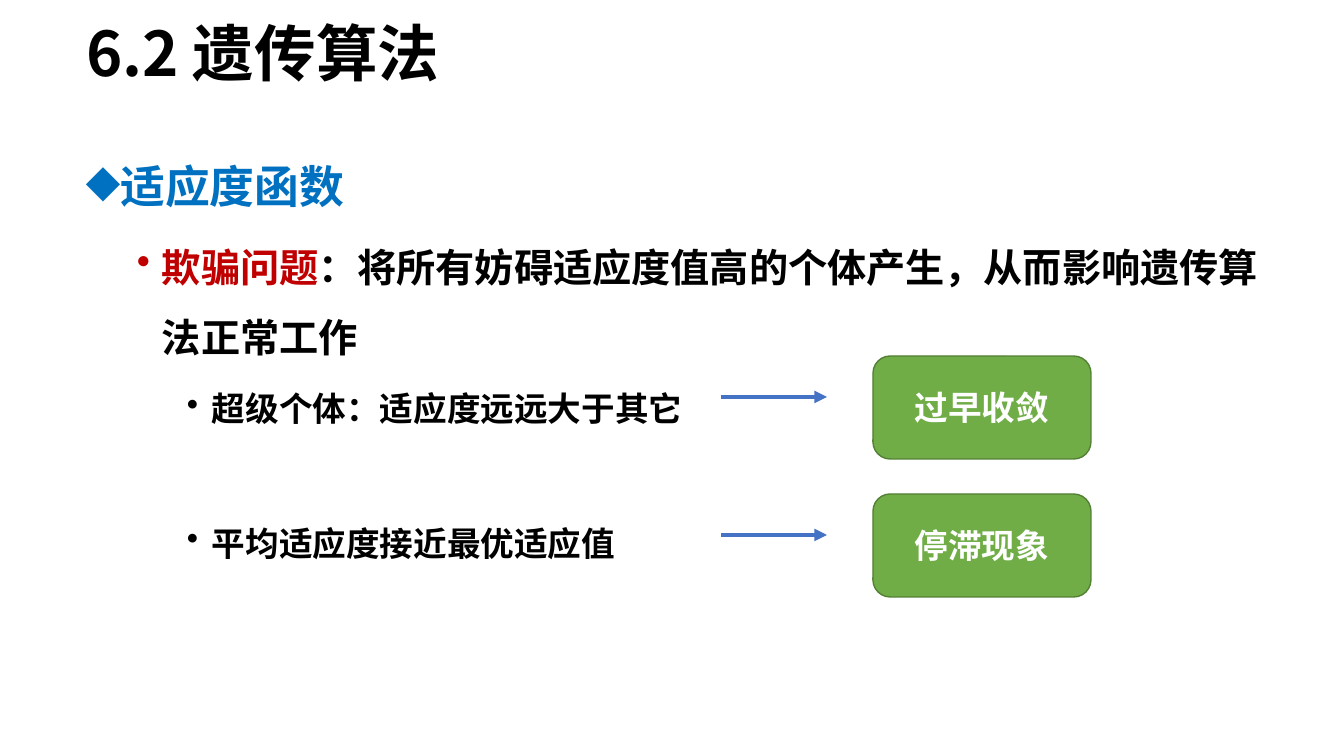
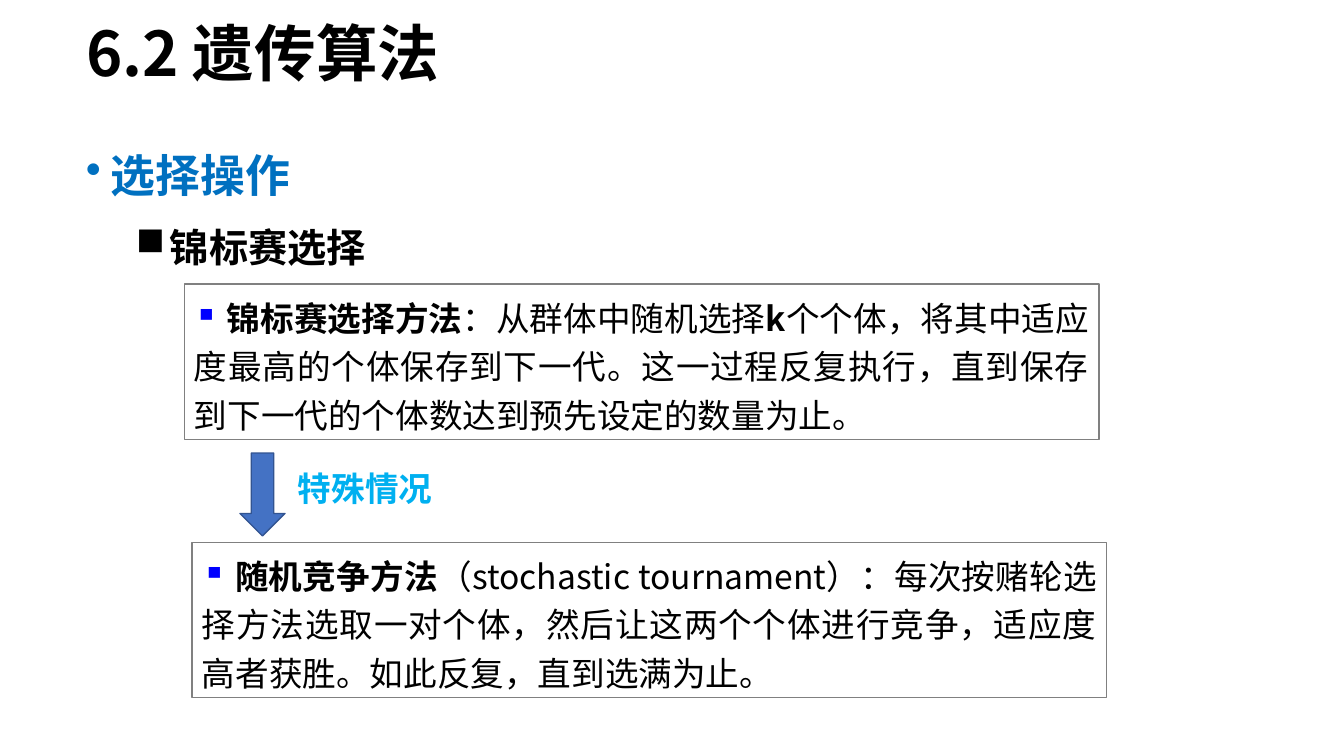
"""Build two slides on fitness functions and selection in genetic algorithms."""
from lxml import etree
from pptx import Presentation
from pptx.dml.color import RGBColor
from pptx.enum.shapes import MSO_CONNECTOR, MSO_SHAPE
from pptx.enum.text import MSO_ANCHOR as Anchor, PP_ALIGN as Align
from pptx.oxml.ns import qn
from pptx.util import Pt

PX = 914400 / 100.8
FONT = "Noto Sans CJK SC"
BLACK = RGBColor(0x00, 0x00, 0x00)
WHITE = RGBColor(0xFF, 0xFF, 0xFF)
GRAY = RGBColor(0x80, 0x80, 0x80)
HEADING_BLUE = RGBColor(0x00, 0x70, 0xC0)
LABEL_BLUE = RGBColor(0x00, 0xB0, 0xF0)
BULLET_BLUE = RGBColor(0x00, 0x00, 0xFF)
RED = RGBColor(0xC0, 0x00, 0x00)
GREEN = RGBColor(0x70, 0xAD, 0x47)
DARK_GREEN = RGBColor(0x53, 0x80, 0x35)
ARROW_BLUE = RGBColor(0x44, 0x72, 0xC4)
DARK_BLUE = RGBColor(0x32, 0x54, 0x91)


def px(*lengths):
    return [round(length * PX) for length in lengths]


def write(para, spans, size, bullet=None, margin=0, indent=0, bullet_color=None, **layout):
    """Fill a paragraph with (text, colour, bold) spans."""
    for name, value in layout.items():
        setattr(para, name, value)
    if bullet:
        props = para._p.get_or_add_pPr()
        for name, value in zip(("marL", "indent"), px(margin, indent)):
            props.set(name, str(value))
        if bullet_color:
            tint = etree.SubElement(props, qn("a:buClr"))
            etree.SubElement(tint, qn("a:srgbClr"), val=str(bullet_color))
        etree.SubElement(props, qn("a:buChar"), char=bullet)
    for text, color, bold in spans:
        span = para.add_run()
        span.text = text
        for name, value in {"name": FONT, "size": Pt(size), "bold": bold}.items():
            setattr(span.font, name, value)
        span.font.color.rgb = color
        etree.SubElement(span._r.get_or_add_rPr(), qn("a:ea"), typeface=FONT)


deck = Presentation()
deck.slide_width, deck.slide_height = px(1344, 756)

outlines = [
    [
        dict(spans=[("适应度函数", HEADING_BLUE, True)], size=32, bullet="◆",
             margin=25, indent=-25, line_spacing=1.5),
        dict(spans=[("欺骗问题", RED, True),
                    ("：将所有妨碍适应度值高的个体产生，从而影响遗传算法正常工作", BLACK, True)],
             size=28, bullet="•", margin=76, indent=-25, line_spacing=1.5,
             space_before=Pt(5), level=1),
        dict(spans=[("超级个体：适应度远远大于其它", BLACK, True)], size=24, bullet="•",
             margin=126, indent=-25, line_spacing=1.5, space_before=Pt(5), level=2),
        dict(spans=[("平均适应度接近最优适应值", BLACK, True)], size=24, bullet="•",
             margin=126, indent=-25, line_spacing=1.5, space_before=Pt(53), level=2),
    ],
    [
        dict(spans=[("选择操作", HEADING_BLUE, True)], size=32, bullet="•",
             margin=25, indent=-25, line_spacing=1.3),
        dict(spans=[("锦标赛选择", BLACK, True)], size=28, bullet="■",
             margin=84, indent=-34, line_spacing=1.3, space_before=Pt(5), level=1),
    ],
]
pages = []
for outline in outlines:
    page = deck.slides.add_slide(deck.slide_layouts[5])
    pages.append(page)
    title = page.shapes.title
    title.left, title.top, title.width, title.height = px(76, 18, 857, 109)
    title.text_frame.vertical_anchor = Anchor.TOP
    write(title.text_frame.paragraphs[0], [("6.2 遗传算法", BLACK, True)], 44,
          alignment=Align.LEFT, line_spacing=0.9)
    frame = page.shapes.add_textbox(*px(76, 127, 1207, 612)).text_frame
    frame.word_wrap = True
    for number, entry in enumerate(outline):
        write(frame.add_paragraph() if number else frame.paragraphs[0], **entry)

fitness, selection = pages

for row, outcome in enumerate(["过早收敛", "停滞现象"]):
    top = 356 + 138 * row
    arrow = fitness.shapes.add_connector(
        MSO_CONNECTOR.STRAIGHT, *px(721, top + 41, 827, top + 41))
    arrow.line.color.rgb = ARROW_BLUE
    arrow.line.width = Pt(3)
    etree.SubElement(arrow.line._get_or_add_ln(), qn("a:tailEnd"), type="triangle")
    etree.SubElement(arrow._element.spPr, qn("a:effectLst"))
    box = fitness.shapes.add_shape(MSO_SHAPE.ROUNDED_RECTANGLE, *px(873, top, 218, 103))
    box.shadow.inherit = False
    box.fill.solid()
    box.fill.fore_color.rgb = GREEN
    box.line.color.rgb = DARK_GREEN
    box.line.width = Pt(1)
    box.text_frame.vertical_anchor = Anchor.MIDDLE
    write(box.text_frame.paragraphs[0], [(outcome, WHITE, True)], 24, alignment=Align.CENTER)

methods = [
    (184, 284, [
        (" 锦标赛选择方法", BLACK, True),
        ("：从群体中随机选择", BLACK, False),
        ("k", BLACK, True),
        ("个个体，将其中适应度最高的个体保存到下一代。这一过程反复执行，"
         "直到保存到下一代的个体数达到预先设定的数量为止。", BLACK, False),
    ]),
    (192, 542, [
        (" 随机竞争方法", BLACK, True),
        ("（stochastic tournament）：每次按赌轮选择方法选取一对个体，"
         "然后让这两个个体进行竞争，适应度高者获胜。如此反复，直到选满为止。", BLACK, False),
    ]),
]
for left, top, spans in methods:
    box = selection.shapes.add_shape(MSO_SHAPE.RECTANGLE, *px(left, top, 915, 156))
    box.shadow.inherit = False
    box.fill.solid()
    box.fill.fore_color.rgb = WHITE
    box.line.color.rgb = GRAY
    box.line.width = Pt(0.75)
    box.text_frame.word_wrap = True
    box.text_frame.vertical_anchor = Anchor.BOTTOM
    write(box.text_frame.paragraphs[0], spans, 24, bullet="▪", bullet_color=BULLET_BLUE,
          alignment=Align.JUSTIFY, line_spacing=1.2)

label = selection.shapes.add_textbox(*px(288, 463, 207, 50)).text_frame
label.word_wrap = True
write(label.paragraphs[0], [("特殊情况", LABEL_BLUE, True)], 24)

down_arrow = selection.shapes.add_shape(MSO_SHAPE.DOWN_ARROW, *px(240, 453, 45, 83))
down_arrow.shadow.inherit = False
down_arrow.fill.solid()
down_arrow.fill.fore_color.rgb = ARROW_BLUE
down_arrow.line.color.rgb = DARK_BLUE
down_arrow.line.width = Pt(1)

deck.save("out.pptx")
